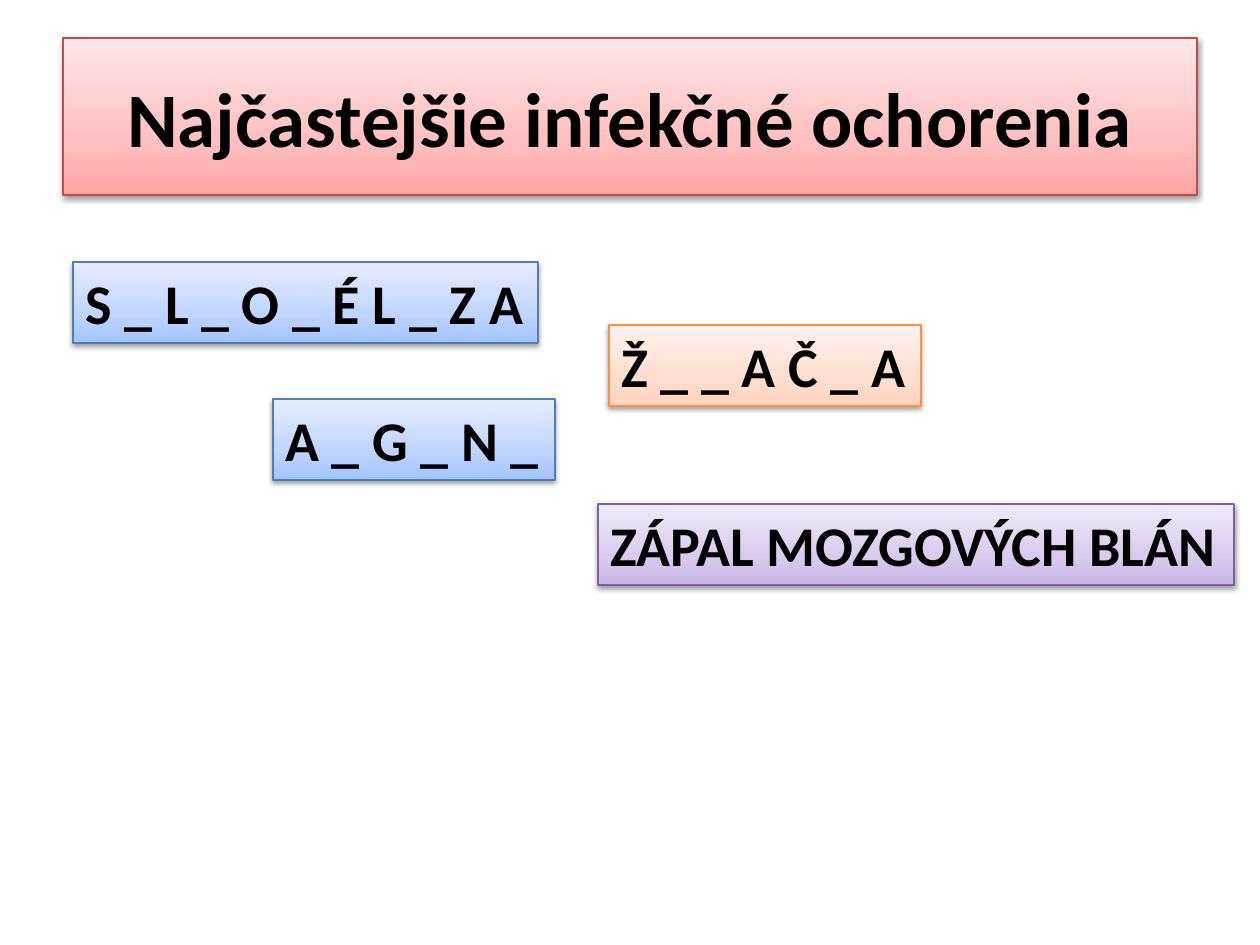
from copy import deepcopy

from lxml.etree import SubElement
from pptx import Presentation
from pptx.dml.color import RGBColor
from pptx.enum.text import MSO_ANCHOR, MSO_AUTO_SIZE, PP_ALIGN
from pptx.oxml.ns import qn
from pptx.util import Pt

PX = 914400 / 126


def px(value):
    return round(value * PX)


def style(shape, text, size, stops, line_color):
    """Set bold text, a vertical gradient, a thin outline and a soft shadow."""
    paragraph = shape.text_frame.paragraphs[0]
    paragraph.text = text
    paragraph.font.name = "Calibri"
    paragraph.font.size = Pt(size)
    paragraph.font.bold = True
    paragraph.font.color.rgb = RGBColor.from_string("000000")

    shape.fill.gradient()
    shape.fill.gradient_angle = 90
    properties = shape._element.spPr
    stop_list = properties.find(qn("a:gradFill")).find(qn("a:gsLst"))
    stop_list.append(deepcopy(stop_list[0]))
    for stop, position, color in zip(shape.fill.gradient_stops, (0, 0.35, 1), stops):
        stop.position = position
        stop.color.rgb = RGBColor.from_string(color)

    shape.line.color.rgb = RGBColor.from_string(line_color)
    shape.line.width = Pt(0.75)

    shape.shadow.inherit = False
    effects = properties.find(qn("a:effectLst"))
    shadow = SubElement(effects, qn("a:outerShdw"), blurRad=str(Pt(3.1)),
                        dist=str(Pt(1.6)), dir="5400000", rotWithShape="0")
    color = SubElement(shadow, qn("a:srgbClr"), val="000000")
    SubElement(color, qn("a:alpha"), val="38000")


RED = ("FFA6A5", "FFC0BF", "FFE7E7"), "BF4C48"
BLUE = ("A4C4FF", "BFD4FF", "E6EEFF"), "4B7EBC"
ORANGE = ("FFD2BD", "FFDED0", "FFF2ED"), "F69240"
PURPLE = ("C9B5E8", "D8CBEE", "F0EAF9"), "7D60A0"

presentation = Presentation()
presentation.slide_width = px(1260)
presentation.slide_height = px(945)
slide = presentation.slides.add_slide(presentation.slide_layouts[5])

title = slide.shapes.title
title.left, title.top, title.width, title.height = px(63), px(38), px(1134), px(157)
style(title, "Najčastejšie infekčné ochorenia", 44, *RED)
title.text_frame.vertical_anchor = MSO_ANCHOR.MIDDLE
title.text_frame.paragraphs[0].alignment = PP_ALIGN.CENTER

diseases = [
    ("S _ L _ O _ É L _ Z A", 73, 262, 465, BLUE),
    ("A _ G _ N _", 273, 399, 282, BLUE),
    ("Ž _ _ A Č _ A", 609, 325, 312, ORANGE),
    ("ZÁPAL MOZGOVÝCH BLÁN", 598, 504, 636, PURPLE),
]
for text, left, top, width, colors in diseases:
    box = slide.shapes.add_textbox(px(left), px(top), px(width), px(81))
    box.text_frame.word_wrap = False
    box.text_frame.auto_size = MSO_AUTO_SIZE.SHAPE_TO_FIT_TEXT
    style(box, text, 32, *colors)

presentation.save("out.pptx")
